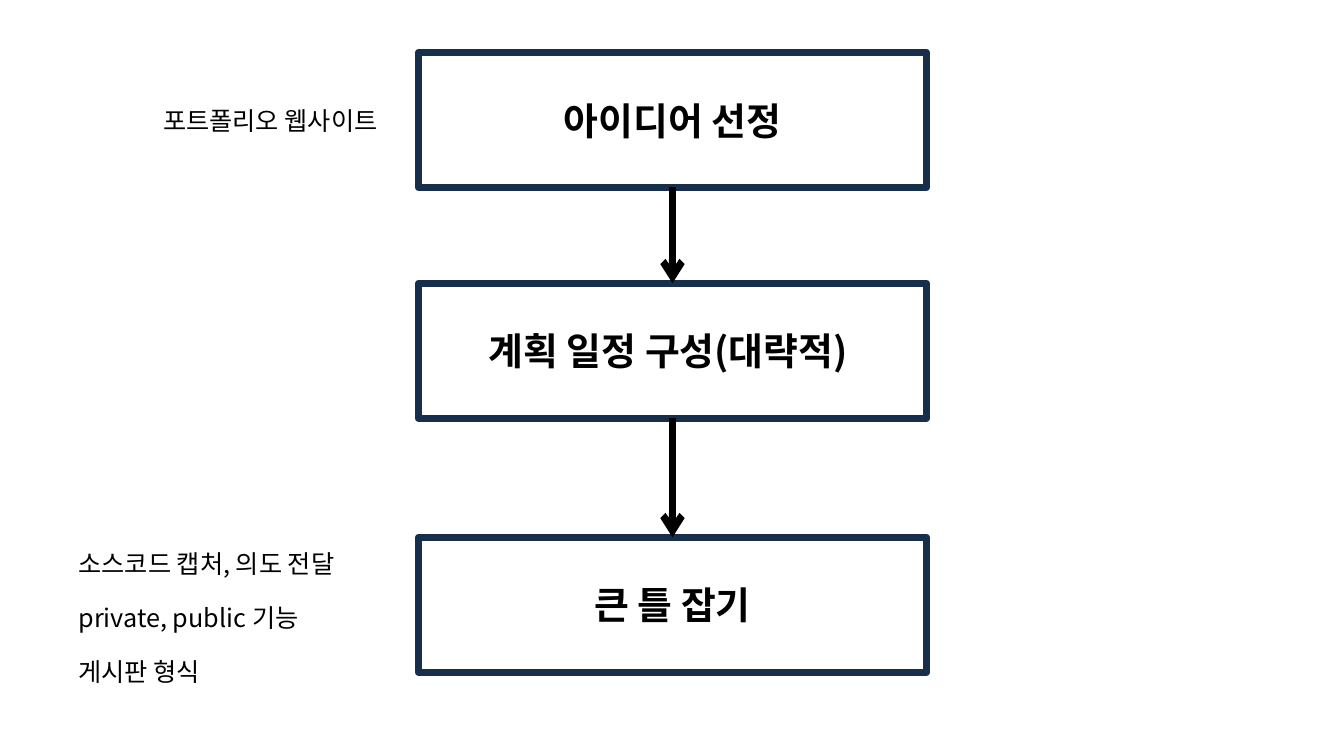
from lxml import etree
from pptx import Presentation
from pptx.dml.color import RGBColor
from pptx.enum.shapes import MSO_CONNECTOR, MSO_SHAPE
from pptx.enum.text import MSO_ANCHOR, PP_ALIGN
from pptx.oxml.ns import qn
from pptx.util import Inches, Pt

NAVY = RGBColor(0x18, 0x2F, 0x4B)
BLACK = RGBColor(0, 0, 0)
RECTANGLE = MSO_SHAPE.RECTANGLE
STRAIGHT = MSO_CONNECTOR.STRAIGHT
MIDDLE = MSO_ANCHOR.MIDDLE
LEFT, CENTER = PP_ALIGN.LEFT, PP_ALIGN.CENTER
TOP_SIDE, BOTTOM_SIDE = 0, 2

STEPS = [
    (0.52, "아이디어 선정"),
    (2.81, "계획 일정 구성(대략적) "),
    (5.33, "큰 틀 잡기"),
]
NOTES = [
    (1.52, 0.99, 2.47, 0.4, ["포트폴리오 웹사이트"]),
    (0.68, 5.33, 2.93, 1.6,
     ["소스코드 캡처, 의도 전달", "private, public 기능", "게시판 형식"]),
]


class FlowPage:
    """Draws the steps, arrows and notes of a flow chart on one slide."""

    typeface = "Noto Sans CJK KR"
    line_width = Pt(5)

    def __init__(self, page):
        self.page = page

    def set_text(self, frame, lines, size, bold, align):
        frame.word_wrap = True
        frame.vertical_anchor = MIDDLE
        for index, line in enumerate(lines):
            para = frame.add_paragraph() if index else frame.paragraphs[0]
            para.text = line
            para.alignment = align
            if index:
                para.space_before = Pt(17)
            font = para.font
            font.size = Pt(size)
            font.bold = bold
            font.color.rgb = BLACK
            font.name = self.typeface
            latin = para._p.pPr.find(qn("a:defRPr")).find(qn("a:latin"))
            east_asian = etree.Element(qn("a:ea"), typeface=self.typeface)
            latin.addnext(east_asian)

    def step(self, top, text):
        box = self.page.shapes.add_shape(
            RECTANGLE, Inches(4.15), Inches(top), Inches(5.04), Inches(1.34))
        box.shadow.inherit = False
        box.fill.background()
        box.line.color.rgb = NAVY
        box.line.width = self.line_width
        self.set_text(box.text_frame, [text], 27, True, CENTER)
        return box

    def arrow(self, upper, lower):
        connector = self.page.shapes.add_connector(STRAIGHT, 0, 0, 0, 0)
        connector.begin_connect(upper, BOTTOM_SIDE)
        connector.end_connect(lower, TOP_SIDE)
        connector.line.color.rgb = BLACK
        connector.line.width = self.line_width
        properties = connector._element.spPr
        outline = properties.find(qn("a:ln"))
        etree.SubElement(outline, qn("a:tailEnd"), type="arrow")
        etree.SubElement(properties, qn("a:effectLst"))

    def note(self, left, top, width, height, lines):
        box = self.page.shapes.add_textbox(
            Inches(left), Inches(top), Inches(width), Inches(height))
        self.set_text(box.text_frame, lines, 18, False, LEFT)


def main():
    deck = Presentation()
    deck.slide_width = Inches(13.33)
    deck.slide_height = Inches(7.5)
    flow = FlowPage(deck.slides.add_slide(deck.slide_layouts[6]))
    boxes = [flow.step(*step) for step in STEPS]
    for upper, lower in zip(boxes, boxes[1:]):
        flow.arrow(upper, lower)
    for note in NOTES:
        flow.note(*note)
    deck.save("out.pptx")


if __name__ == "__main__":
    main()
